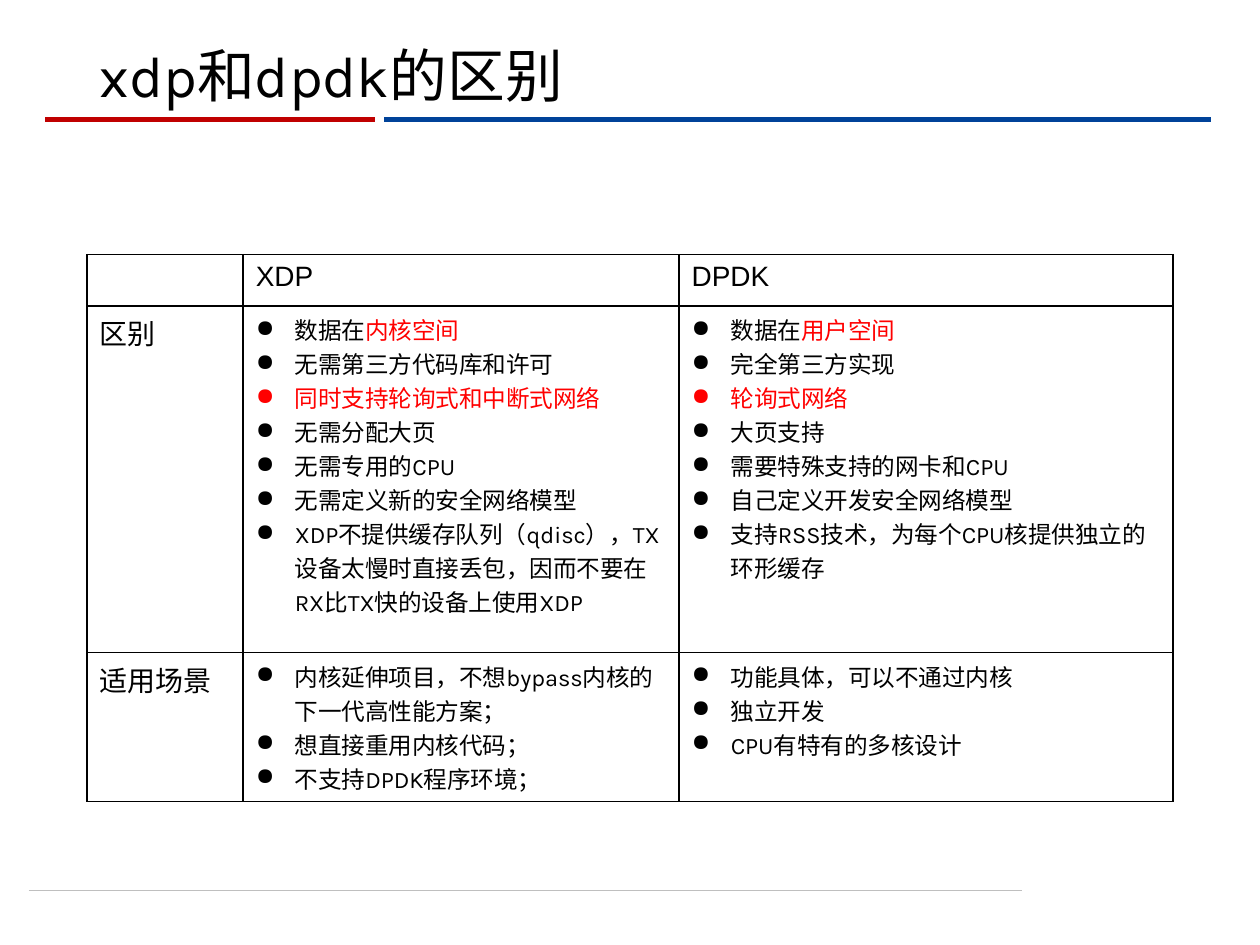
from dataclasses import dataclass

from lxml.etree import SubElement
from pptx import Presentation
from pptx.dml.color import RGBColor
from pptx.enum.shapes import MSO_CONNECTOR
from pptx.enum.text import MSO_ANCHOR, MSO_AUTO_SIZE, PP_ALIGN
from pptx.oxml.ns import qn
from pptx.util import Inches, Pt


@dataclass(frozen=True)
class Theme:
    """Colours, fonts and type sizes of the deck."""
    ink: str = "000000"
    accent: str = "FF0000"
    red: str = "C00000"
    blue: str = "004299"
    grey: str = "BFBFBF"
    display: str = "Karla"
    plain: str = "Arial"
    title: float = 33
    label: float = 16
    item: float = 13.5


COLUMNS, ROWS = 100, 75
XDP_DIFFERENCES = [
    "数据在|内核空间",
    "无需第三方代码库和许可",
    "|同时支持轮询式和中断式网络",
    "无需分配大页",
    "无需专用的CPU",
    "无需定义新的安全网络模型",
    "XDP不提供缓存队列（qdisc），TX设备太慢时直接丢包，因而不要在RX比TX快的设备上使用XDP",
]
DPDK_DIFFERENCES = [
    "数据在|用户空间",
    "完全第三方实现",
    "|轮询式网络",
    "大页支持",
    "需要特殊支持的网卡和CPU",
    "自己定义开发安全网络模型",
    "支持RSS技术，为每个CPU核提供独立的环形缓存",
]
XDP_SCENARIOS = [
    "内核延伸项目，不想bypass内核的下一代高性能方案；",
    "想直接重用内核代码；",
    "不支持DPDK程序环境；",
]
DPDK_SCENARIOS = ["功能具体，可以不通过内核", "独立开发", "CPU有特有的多核设计"]
COMPARISON = [
    ["", "XDP", "DPDK"],
    ["区别", XDP_DIFFERENCES, DPDK_DIFFERENCES],
    ["适用场景", XDP_SCENARIOS, DPDK_SCENARIOS],
]


def write(p, text, *, font, size, color, accent=None, bullet=None, spacing=1.0):
    """Fill a paragraph; every second part between bars takes the accent colour."""
    if bullet:
        pPr = p._p.get_or_add_pPr()
        pPr.set("marL", str(Inches(0.31)))
        pPr.set("indent", str(-Inches(0.31)))
        SubElement(pPr, qn("a:buChar"), char=bullet)
    p.alignment = PP_ALIGN.LEFT
    p.line_spacing = spacing
    p.space_before = Pt(0)
    for i, part in enumerate(text.split("|")):
        if part:
            r = p.add_run()
            r.text = part
            r.font.name = font
            r.font.size = Pt(size)
            r.font.color.rgb = RGBColor.from_string(accent if i % 2 else color)


class Deck:
    """Holds the theme, the grid and the current slide."""

    def __init__(self, theme):
        """Open a 4:3 deck with one title slide."""
        self.theme = theme
        self.prs = Presentation()
        self.prs.slide_width, self.prs.slide_height = Inches(10), Inches(7.5)
        self.s = self.prs.slides.add_slide(self.prs.slide_layouts[5])

    def x(self, columns):
        """Turn grid columns into a length."""
        return round(self.prs.slide_width * columns / COLUMNS)

    def y(self, rows):
        """Turn grid rows into a length."""
        return round(self.prs.slide_height * rows / ROWS)

    def title(self, text, left, top, width, height):
        """Move and fill the title placeholder."""
        sp = self.s.shapes.title
        sp.left, sp.top = self.x(left), self.y(top)
        sp.width, sp.height = self.x(width), self.y(height)
        tf = sp.text_frame
        tf.word_wrap = True
        tf.auto_size = MSO_AUTO_SIZE.NONE
        tf.vertical_anchor = MSO_ANCHOR.BOTTOM
        write(tf.paragraphs[0], text, font=self.theme.display,
              size=self.theme.title, color=self.theme.ink, spacing=0.9)

    def rule(self, start, end, row, color, weight):
        """Draw a horizontal line between two columns."""
        line = self.s.shapes.add_connector(
            MSO_CONNECTOR.STRAIGHT, self.x(start), self.y(row), self.x(end), self.y(row))
        line.line.color.rgb = RGBColor.from_string(color)
        line.line.width = Pt(weight)
        SubElement(line._element.spPr, qn("a:effectLst"))

    def border(self, cell):
        """Outline a cell on all four sides."""
        tcPr = cell._tc.get_or_add_tcPr()
        for side in ("lnL", "lnR", "lnT", "lnB"):
            ln = SubElement(tcPr, qn(f"a:{side}"), w=str(Pt(1)))
            fill = SubElement(ln, qn("a:solidFill"))
            SubElement(fill, qn("a:srgbClr"), val=self.theme.ink)

    def cell(self, cell, content):
        """Fill a cell with a label or a bulleted list."""
        t = self.theme
        self.border(cell)
        cell.fill.background()
        tf = cell.text_frame
        if isinstance(content, str):
            write(tf.paragraphs[0], content, font=t.plain, size=t.label, color=t.ink)
            return
        for i, item in enumerate(content):
            p = tf.add_paragraph() if i else tf.paragraphs[0]
            write(p, item, font=t.display, size=t.item, color=t.ink,
                  accent=t.accent, bullet="●")

    def table(self, data, left, top, widths, heights):
        """Add a ruled table with the given column widths and row heights."""
        table = self.s.shapes.add_table(
            len(heights), len(widths), self.x(left), self.y(top),
            self.x(sum(widths)), self.y(sum(heights))).table
        table.first_row = table.horz_banding = False
        for column, width in zip(table.columns, widths):
            column.width = self.x(width)
        for row, height, contents in zip(table.rows, heights, data):
            row.height = self.y(height)
            for cell, content in zip(row.cells, contents):
                self.cell(cell, content)


def main():
    """Build and save the comparison slide."""
    theme = Theme()
    deck = Deck(theme)
    deck.rule(2.3, 81.1, 70.7, theme.grey, 0.5)
    deck.rule(30.5, 96.1, 9.5, theme.blue, 3)
    deck.rule(3.6, 29.8, 9.5, theme.red, 3)
    deck.title("xdp和dpdk的区别", 6.9, 2.2, 86.2, 7)
    deck.table(COMPARISON, 6.9, 20.2, (12.4, 34.6, 39.2), (4.1, 27.5, 11.8))
    deck.prs.save("out.pptx")


if __name__ == "__main__":
    main()
